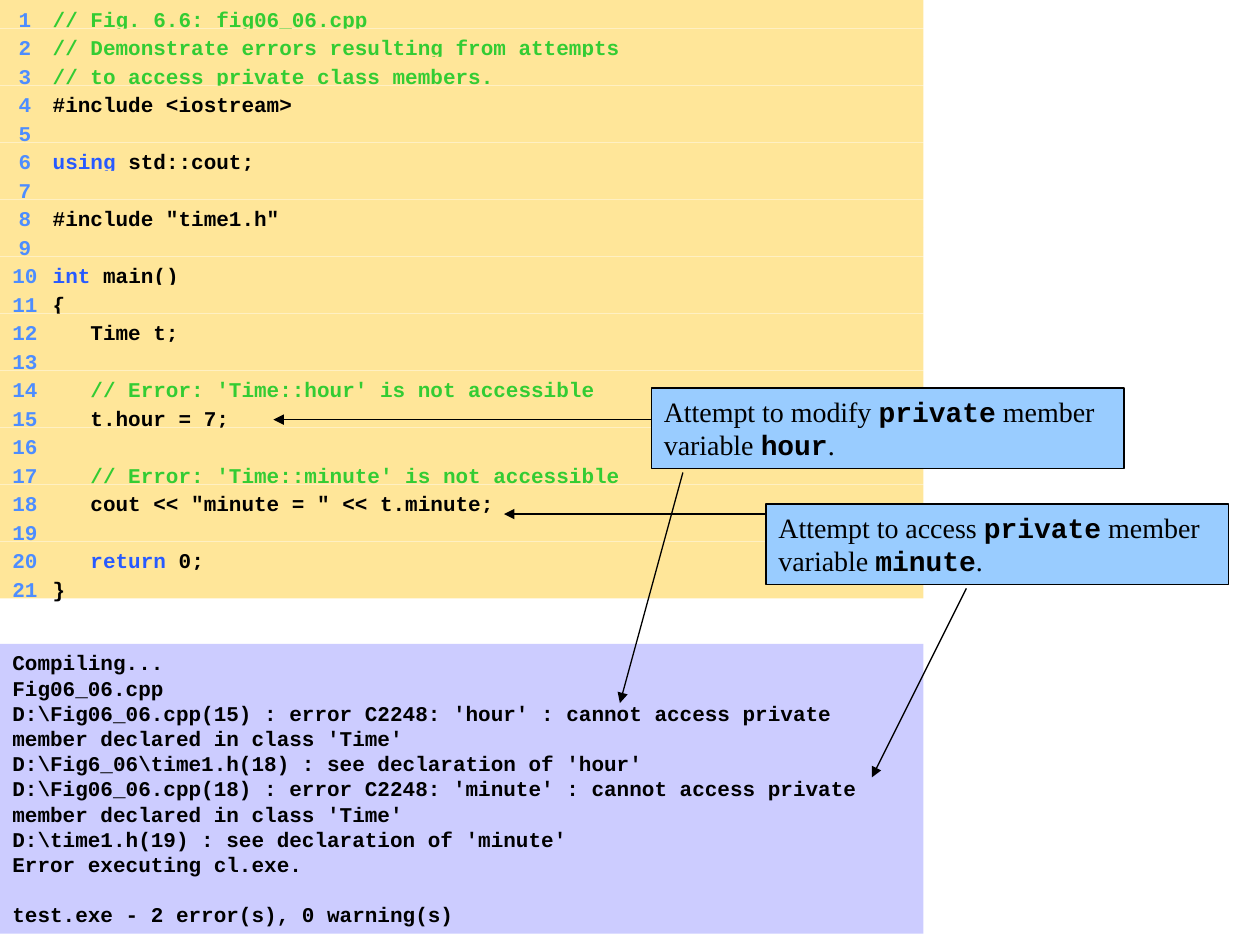
import pptx
import pptx.util
import pptx.dml.color
import pptx.enum.shapes
import pptx.enum.text
import pptx.oxml
import pptx.oxml.ns

Inches = pptx.util.Inches
Pt = pptx.util.Pt

HUE = {
    "num": "4D8DFF", "note": "33CC33", "key": "275AFF", "plain": "000000",
    "code": "FFE699", "out": "CCCCFF", "call": "99CCFF", "edge": "000000",
}
MONO, SERIF = "Courier New", "Times New Roman"

# One list of (text, colour) runs for each line of code
CODE = [
    [("// Fig. 6.6: fig06_06.cpp", "note")],
    [("// Demonstrate errors resulting from attempts", "note")],
    [("// to access private class members.", "note")],
    [("#include <iostream>", "plain")],
    [],
    [("using", "key"), (" std::cout;", "plain")],
    [],
    [('#include "time1.h"', "plain")],
    [],
    [("int", "key"), (" main()", "plain")],
    [("{", "plain")],
    [("   Time t;", "plain")],
    [],
    [("   // Error: 'Time::hour' is not accessible", "note")],
    [("   t.hour = 7;", "plain")],
    [],
    [("   // Error: 'Time::minute' is not accessible", "note")],
    [('   cout << "minute = " << t.minute;', "plain")],
    [],
    [("   return", "key"), (" 0;", "plain")],
    [("}", "plain")],
]

OUTPUT = [
    "Compiling...",
    "Fig06_06.cpp",
    "D:\\Fig06_06.cpp(15) : error C2248: 'hour' : cannot access private",
    "member declared in class 'Time'",
    "D:\\Fig6_06\\time1.h(18) : see declaration of 'hour'",
    "D:\\Fig06_06.cpp(18) : error C2248: 'minute' : cannot access private",
    "member declared in class 'Time'",
    "D:\\time1.h(19) : see declaration of 'minute'",
    "Error executing cl.exe.",
    "test.exe - 2 error(s), 0 warning(s)",
]

CALLS = [
    {"verb": "access", "name": "minute", "box": (6.08, 4, 3.67, 0.64),
     "arrows": [(6.08, 4.08, 4, 4.08), (7.67, 4.67, 6.92, 6.17)]},
    {"verb": "modify", "name": "hour", "box": (5.17, 3.08, 3.75, 0.64),
     "arrows": [(5.17, 3.33, 2.17, 3.33), (5.42, 3.75, 4.92, 5.58)]},
]

WIDTH = 7.33
PITCH = 4.75 / len(CODE)
LEAD = 14.4  # points from one output line to the next


def rgb(name):
    return pptx.dml.color.RGBColor.from_string(HUE[name])


def add_box(slide, box, fill, edge=None):
    shape = slide.shapes.add_shape(
        pptx.enum.shapes.MSO_SHAPE.RECTANGLE, *map(Inches, box))
    shape.shadow.inherit = False
    shape.fill.solid()
    shape.fill.fore_color.rgb = rgb(fill)
    if edge:
        shape.line.color.rgb = rgb(edge)
        shape.line.width = Pt(0.75)
    else:
        shape.line.fill.background()
    frame = shape.text_frame
    frame.word_wrap = True
    frame.vertical_anchor = pptx.enum.text.MSO_ANCHOR.TOP
    frame.paragraphs[0].alignment = pptx.enum.text.PP_ALIGN.LEFT
    return frame


def add_run(para, text, hue="plain", size=12, face=MONO, bold=True):
    run = para.add_run()
    run.text = text
    run.font.size = Pt(size)
    run.font.name = face
    run.font.bold = bold
    run.font.color.rgb = rgb(hue)


def set_tabs(para, stops):
    tabs = pptx.oxml.parse_xml(
        "<a:tabLst %s/>" % pptx.oxml.ns.nsdecls("a"))
    for place, side in stops:
        tab = tabs.makeelement(pptx.oxml.ns.qn("a:tab"),
                               {"pos": str(Inches(place)), "algn": side})
        tabs.append(tab)
    para._p.get_or_add_pPr().append(tabs)


def add_arrow(slide, ends):
    line = slide.shapes.add_connector(
        pptx.enum.shapes.MSO_CONNECTOR.STRAIGHT, *map(Inches, ends))
    line.line.color.rgb = rgb("edge")
    line.line.width = Pt(0.75)
    space = pptx.oxml.ns.nsdecls("a")
    line.line._get_or_add_ln().append(
        pptx.oxml.parse_xml('<a:tailEnd %s type="triangle"/>' % space))
    line._element.spPr.append(
        pptx.oxml.parse_xml("<a:effectLst %s/>" % space))


def add_code(slide):
    for row, runs in enumerate(CODE):
        frame = add_box(slide, (0, row * PITCH, WIDTH, PITCH), "code")
        para = frame.paragraphs[0]
        set_tabs(para, [(0.15, "r"), (0.32, "l")])
        add_run(para, f"\t{row + 1}\t", "num")
        for text, hue in runs:
            add_run(para, text, hue)


def add_output(slide):
    frame = add_box(slide, (0, 5.11, WIDTH, 2.3), "out")
    for row, text in enumerate(OUTPUT):
        para = frame.add_paragraph() if row else frame.paragraphs[0]
        para.alignment = pptx.enum.text.PP_ALIGN.LEFT
        para.line_spacing = Pt(LEAD)
        add_run(para, text)
    para.space_before = Pt(LEAD)


def add_call(slide, call):
    para = add_box(slide, call["box"], "call", "edge").paragraphs[0]
    parts = [f"Attempt to {call['verb']} ", "private",
             " member variable ", call["name"], "."]
    for spot, text in enumerate(parts):
        code = spot % 2 == 1
        add_run(para, text, size=16, face=MONO if code else SERIF, bold=code)
    for ends in call["arrows"]:
        add_arrow(slide, ends)


def main():
    deck = pptx.Presentation()
    deck.slide_width, deck.slide_height = Inches(10), Inches(7.5)
    slide = deck.slides.add_slide(deck.slide_layouts[6])
    add_code(slide)
    add_output(slide)
    for call in CALLS:
        add_call(slide, call)
    deck.save("out.pptx")


if __name__ == "__main__":
    main()
